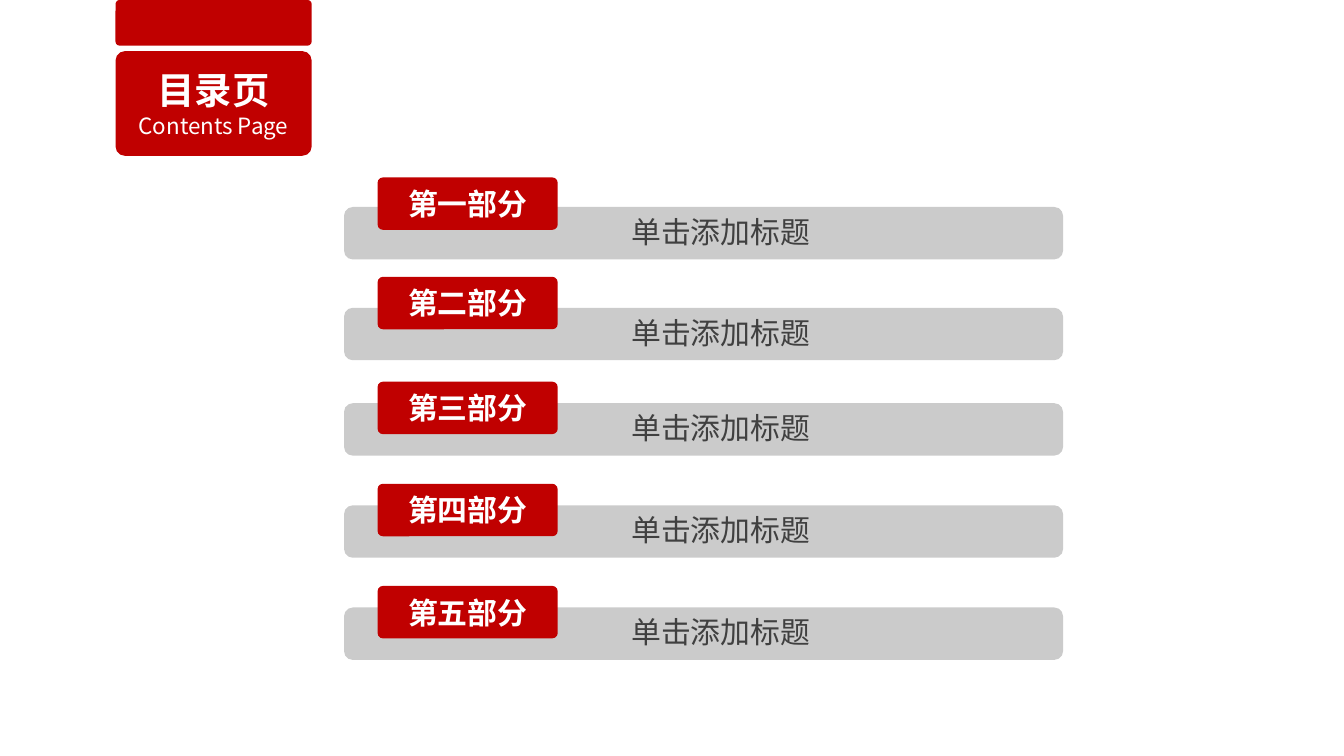
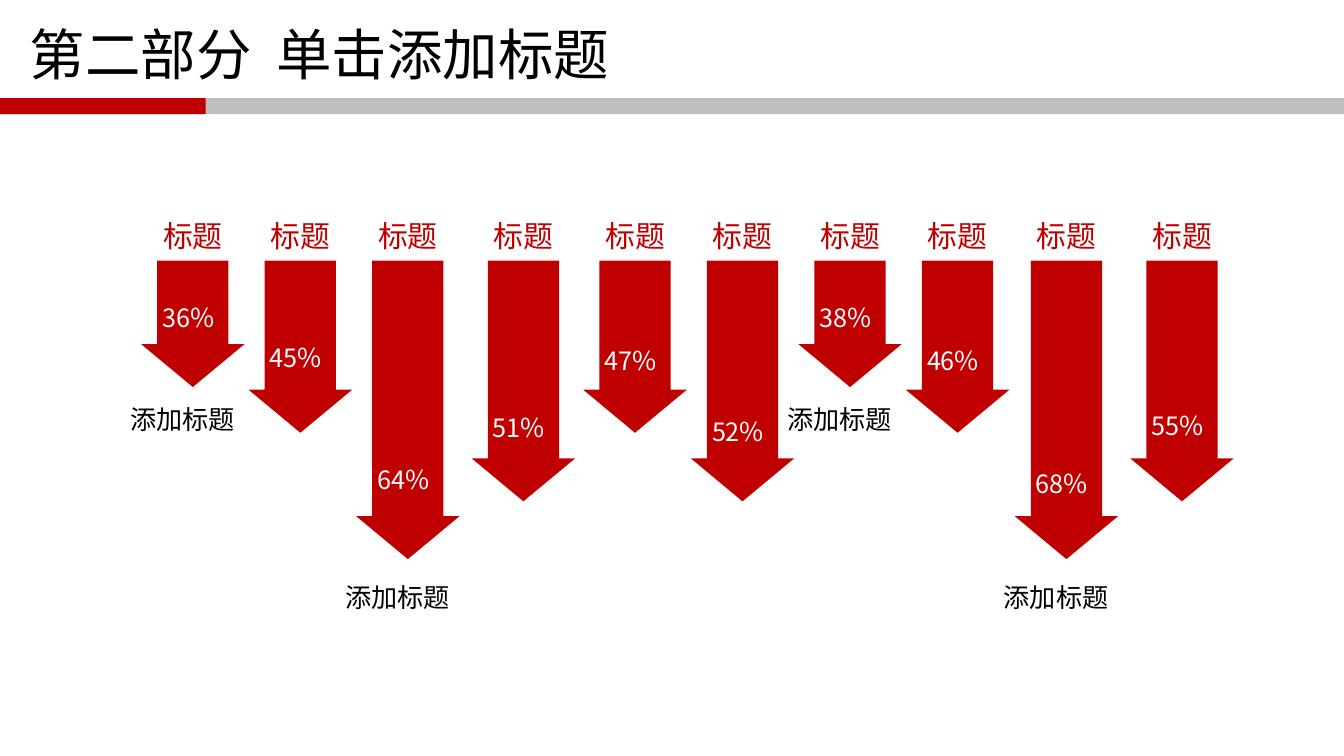
from pptx import Presentation
from pptx import util as u
from pptx.dml.color import RGBColor
from pptx.enum import shapes, text
from pptx.oxml.ns import qn
from lxml import etree

RED = RGBColor(0xC0, 0x00, 0x00)
WHITE = RGBColor(0xFF, 0xFF, 0xFF)
BLACK = RGBColor(0x00, 0x00, 0x00)
TITLE_GRAY = RGBColor(0x40, 0x40, 0x40)
BAR_GRAY = RGBColor(0xCB, 0xCB, 0xCB)
BAND_GRAY = RGBColor(0xBF, 0xBF, 0xBF)
BODY_FONT = "Noto Sans CJK SC"
TITLE_FONT = "Calibri"
SLIDE_WIDTH = 10
SLIDE_HEIGHT = SLIDE_WIDTH * 9 / 16

SECTIONS = [
    ("第一部分", 1.54, 1.32),
    ("第二部分", 2.29, 2.06),
    ("第三部分", 3.00, 2.84),
    ("第四部分", 3.76, 3.60),
    ("第五部分", 4.52, 4.36),
]
ARROWS = [
    ("36", 1.05, 0.94, 2.19),
    ("45", 1.85, 1.28, 2.49),
    ("64", 2.65, 2.22, 3.40),
    ("51", 3.51, 1.79, 3.01),
    ("47", 4.34, 1.28, 2.51),
    ("52", 5.14, 1.79, 3.04),
    ("38", 5.94, 0.94, 2.19),
    ("46", 6.74, 1.28, 2.51),
    ("68", 7.55, 2.22, 3.43),
    ("55", 8.41, 1.79, 3.00),
]
CAPTION_GAPS = {"36": 0.07, "64": 0.12, "38": 0.07, "68": 0.12}


def add_run(paragraph, words, size, color, bold=False, font=BODY_FONT):
    """Append one formatted run, with its East Asian font, to a paragraph."""
    run = paragraph.add_run()
    run.text = words
    run.font.size = u.Pt(size)
    run.font.bold = bold
    run.font.name = font
    run.font.color.rgb = color
    east_asian = etree.SubElement(run.font._element, qn("a:ea"))
    east_asian.set("typeface", BODY_FONT)


def paint(shape, color):
    """Give a shape a plain fill without line or shadow."""
    shape.shadow.inherit = False
    shape.fill.solid()
    shape.fill.fore_color.rgb = color
    shape.line.fill.background()


def add_box(slide, box, color, corner=None):
    """Add a rectangle, rounded when a corner ratio is given."""
    kind = shapes.MSO_SHAPE.RECTANGLE if corner is None else shapes.MSO_SHAPE.ROUNDED_RECTANGLE
    shape = slide.shapes.add_shape(kind, *map(u.Inches, box))
    if corner is not None:
        shape.adjustments[0] = corner
    paint(shape, color)
    return shape


def write_centered(shape, lines):
    """Write one centred white paragraph per (words, size, bold) line."""
    frame = shape.text_frame
    frame.vertical_anchor = text.MSO_ANCHOR.MIDDLE
    for index, (words, size, bold) in enumerate(lines):
        paragraph = frame.add_paragraph() if index else frame.paragraphs[0]
        paragraph.alignment = text.PP_ALIGN.CENTER
        add_run(paragraph, words, size, WHITE, bold)


def add_label(slide, box, runs, color, alignment=None):
    """Add a one-line text box made of (words, size) runs."""
    frame = slide.shapes.add_textbox(*map(u.Inches, box)).text_frame
    frame.word_wrap = False
    frame.auto_size = text.MSO_AUTO_SIZE.SHAPE_TO_FIT_TEXT
    paragraph = frame.paragraphs[0]
    paragraph.alignment = alignment
    for words, size in runs:
        add_run(paragraph, words, size, color)


def add_section(slide, left, bar_top, tag_top, name):
    """Add one contents row: gray bar, red tag and section title."""
    add_box(slide, (left, bar_top, 5.35, 0.39), BAR_GRAY, 0.167)
    tag = add_box(slide, (left + 0.25, tag_top, 1.34, 0.39), RED, 0.101)
    write_centered(tag, [(name, 16, True)])
    add_label(slide, (left + 2.04, bar_top, 1.55, 0.37), [("单击添加标题", 16)], TITLE_GRAY)


def add_contents_sign(slide, left, width):
    """Add the red sign that hangs from the top edge."""
    add_box(slide, (left, 0, width, 0.34), RED, 0.091)
    sign = add_box(slide, (left, 0.38, width, 0.78), RED, 0.091)
    write_centered(sign, [("目录页", 20, True), ("Contents Page", 12, False)])


def add_title_band(slide, words):
    """Add the two-colour band and format the title above it."""
    add_box(slide, (0, 0.73, SLIDE_WIDTH, 0.12), BAND_GRAY)
    add_box(slide, (0, 0.73, 1.53, 0.12), RED)
    title = slide.shapes.title
    title.left, title.top, title.width, title.height = map(u.Inches, (0.12, 0.24, 9, 0.38))
    title.text_frame.vertical_anchor = text.MSO_ANCHOR.MIDDLE
    title.text_frame.auto_size = text.MSO_AUTO_SIZE.NONE
    paragraph = title.text_frame.paragraphs[0]
    paragraph.alignment = text.PP_ALIGN.LEFT
    paragraph.line_spacing = 0.9
    add_run(paragraph, words, 29.7, BLACK, font=TITLE_FONT)


def add_arrow(slide, left, top, height):
    """Draw a red down arrow with a head of fixed size."""
    width, inset, head = 0.77, 0.12, 0.32
    right, neck = left + width, top + height - head
    points = [
        (right - inset, neck), (right - inset, top), (left + inset, top),
        (left + inset, neck), (left, neck), (left + width / 2, top + height), (right, neck),
    ]
    outline = [(u.Inches(x), u.Inches(y)) for x, y in points]
    builder = slide.shapes.build_freeform(*outline[0])
    builder.add_line_segments(outline[1:], close=True)
    paint(builder.convert_to_shape(), RED)


def add_arrow_column(slide, top, number, left, height, number_top):
    """Add an arrow with its heading, percentage and optional caption."""
    add_arrow(slide, left, top, height)
    add_label(slide, (left + 0.06, top - 0.37, 0.65, 0.37), [("标题", 16)], RED,
              text.PP_ALIGN.CENTER)
    add_label(slide, (left + 0.06, number_top, 0.66, 0.4), [(number, 13.5), ("%", 14)], WHITE)
    if number in CAPTION_GAPS:
        caption_top = top + height + CAPTION_GAPS[number]
        add_label(slide, (left - 0.18, caption_top, 1.15, 0.34), [("添加标题", 14)], BLACK)


def build_contents(presentation):
    """Build the contents slide."""
    slide = presentation.slides.add_slide(presentation.slide_layouts.get_by_name("Blank"))
    for name, bar_top, tag_top in SECTIONS:
        add_section(slide, 2.56, bar_top, tag_top, name)
    add_contents_sign(slide, 0.86, 1.46)


def build_arrows(presentation):
    """Build the slide that compares percentages with arrows."""
    slide = presentation.slides.add_slide(presentation.slide_layouts.get_by_name("Title Only"))
    add_title_band(slide, "第二部分  单击添加标题")
    for number, left, height, number_top in ARROWS:
        add_arrow_column(slide, 1.94, number, left, height, number_top)


def main():
    """Build and save the presentation."""
    presentation = Presentation()
    presentation.slide_width = u.Inches(SLIDE_WIDTH)
    presentation.slide_height = u.Inches(SLIDE_HEIGHT)
    build_contents(presentation)
    build_arrows(presentation)
    presentation.save("out.pptx")


if __name__ == "__main__":
    main()
